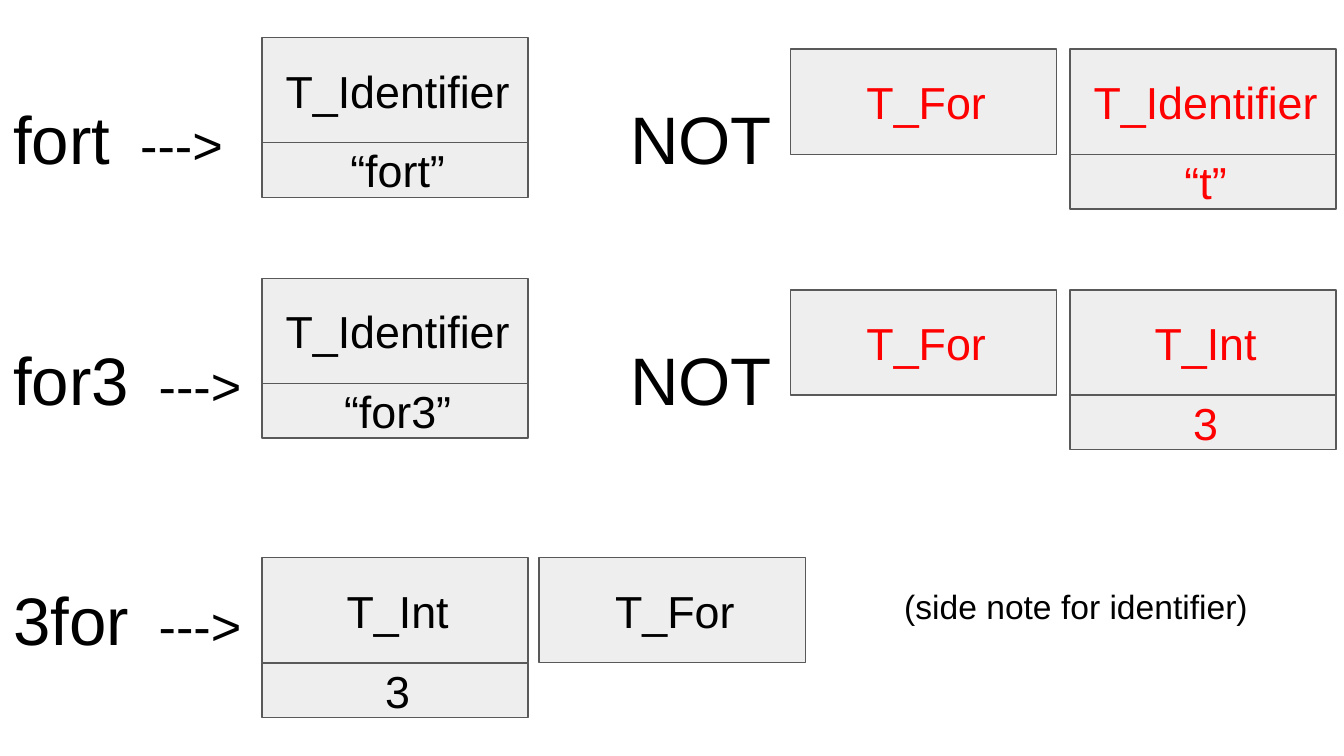
import pptx
import pptx.util
import pptx.dml.color
import pptx.enum.shapes
import pptx.enum.text
import lxml.etree

Cm, Pt = pptx.util.Cm, pptx.util.Pt
RGB = pptx.dml.color.RGBColor
ALIGN = pptx.enum.text.PP_ALIGN
ANCHOR = pptx.enum.text.MSO_ANCHOR
BLACK, RED = RGB(0, 0, 0), RGB(255, 0, 0)
GRAY, EDGE = RGB(0xEE, 0xEE, 0xEE), RGB(0x59, 0x59, 0x59)

# Content: input word, arrow tab, top of its tokens, right tokens, wrong tokens
ROWS = [
    ("fort", 2.4, 0.71, [("T_Identifier", "“fort”")],
     [("T_For", None), ("T_Identifier", "“t”")]),
    ("for3", 2.75, 5.26, [("T_Identifier", "“for3”")],
     [("T_For", None), ("T_Int", "3")]),
    ("3for", 2.75, 10.54, [("T_Int", "3"), ("T_For", None)], []),
]
NOTE = "(side note for identifier)"

# Layout in centimetres
WIDE, HIGH, LOW = 5.03, 1.99, 1.03
GOOD_X, GOOD_STEP = 4.95, 5.24
BAD_X, BAD_STEP, BAD_DROP = 14.94, 5.28, 0.22
WORD_Y, WORD_STEP = 1.45, 4.55

deck = pptx.Presentation()
deck.slide_width, deck.slide_height = Cm(25.4), Cm(14.29)
slide = deck.slides.add_slide(deck.slide_layouts[6])


def apply(item, form):
    for key, value in form.items():
        setattr(item, key, value)


def write(shape, runs, color, align, frame):
    apply(shape.text_frame, frame)
    para = shape.text_frame.paragraphs[0]
    para.alignment = align
    for text, size in runs:
        run = para.add_run()
        run.text = text
        apply(run.font, {"name": "Arial", "size": Pt(size)})
        run.font.color.rgb = color
    return para


def label(x, y, wide, runs, top):
    box = slide.shapes.add_textbox(Cm(x), Cm(y), Cm(wide), Cm(1.53))
    return write(box, runs, BLACK, ALIGN.LEFT, {
        "word_wrap": True, "vertical_anchor": ANCHOR.TOP,
        "margin_left": Cm(0.25), "margin_right": Cm(0.25),
        "margin_top": Cm(top), "margin_bottom": Cm(0.25)})


def cell(x, y, high, text, color):
    box = slide.shapes.add_shape(
        pptx.enum.shapes.MSO_SHAPE.RECTANGLE, Cm(x), Cm(y), Cm(WIDE), Cm(high))
    box.shadow.inherit = False
    box.fill.solid()
    box.fill.fore_color.rgb = GRAY
    box.line.color.rgb = EDGE
    box.line.width = Pt(0.75)
    write(box, [(text, 24)], color, ALIGN.CENTER, {
        "word_wrap": False, "vertical_anchor": ANCHOR.MIDDLE,
        "margin_left": Cm(0.35), "margin_right": Cm(0.25),
        "margin_top": Cm(0.25), "margin_bottom": Cm(0.25)})


def tokens(items, x, y, step, color):
    for col, (kind, value) in enumerate(items):
        left = x + col * step
        cell(left, y, HIGH, kind, color)
        if value:
            cell(left, y + HIGH, LOW, value, color)


def add_tab(para, stop):
    props = para._p.get_or_add_pPr()
    space = "{http://schemas.openxmlformats.org/drawingml/2006/main}"
    tabs = lxml.etree.SubElement(props, space + "tabLst")
    lxml.etree.SubElement(tabs, space + "tab", pos=str(Cm(stop)), algn="l")


# Word rows with their tokens
for row, (word, stop, top, good, bad) in enumerate(ROWS):
    y = WORD_Y + row * WORD_STEP
    add_tab(label(0, y, WIDE, [(word, 36), ("\t--->", 28)], 0.39), stop)
    tokens(good, GOOD_X, top, GOOD_STEP, BLACK)
    if bad:
        label(11.66, y, 3.2, [("NOT", 36)], 0.39)
        tokens(bad, BAD_X, top + BAD_DROP, BAD_STEP, RED)

# Side note
label(16.84, 10.77, 7.04, [(NOTE, 18)], 0.31)

deck.save("out.pptx")
